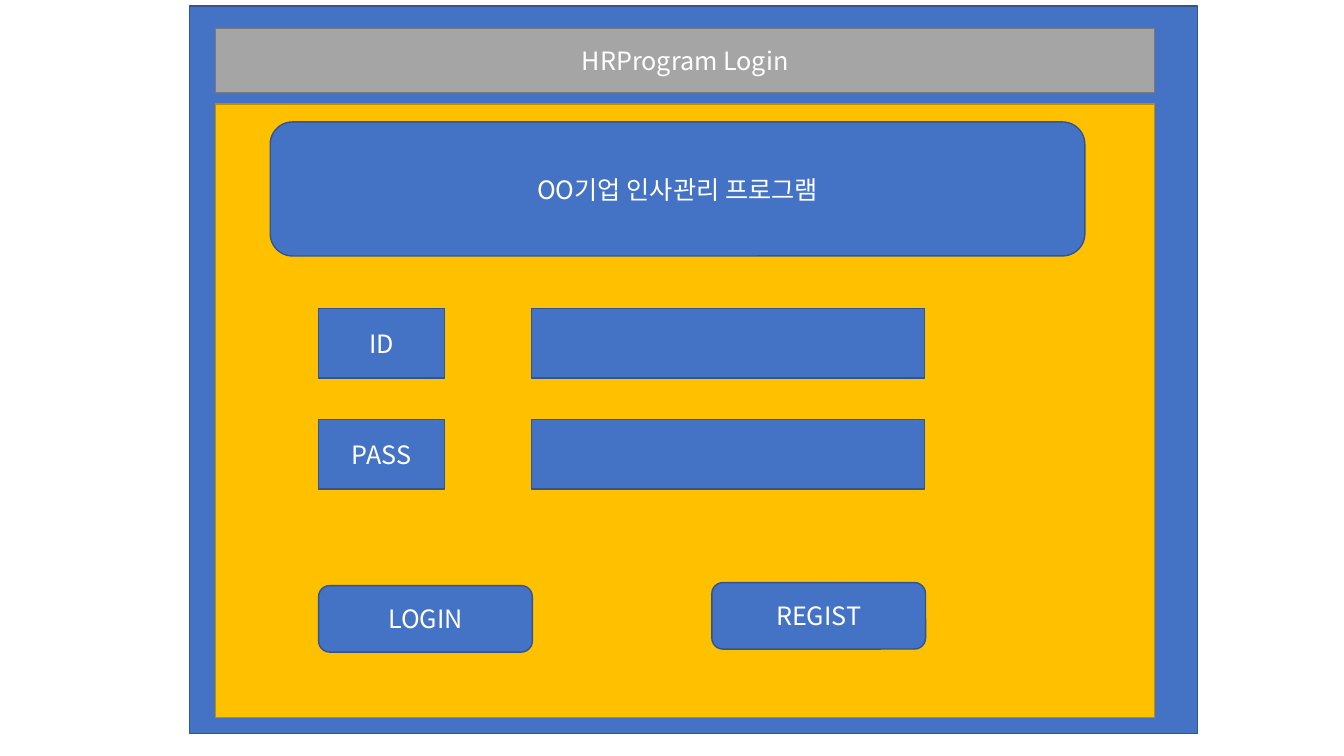
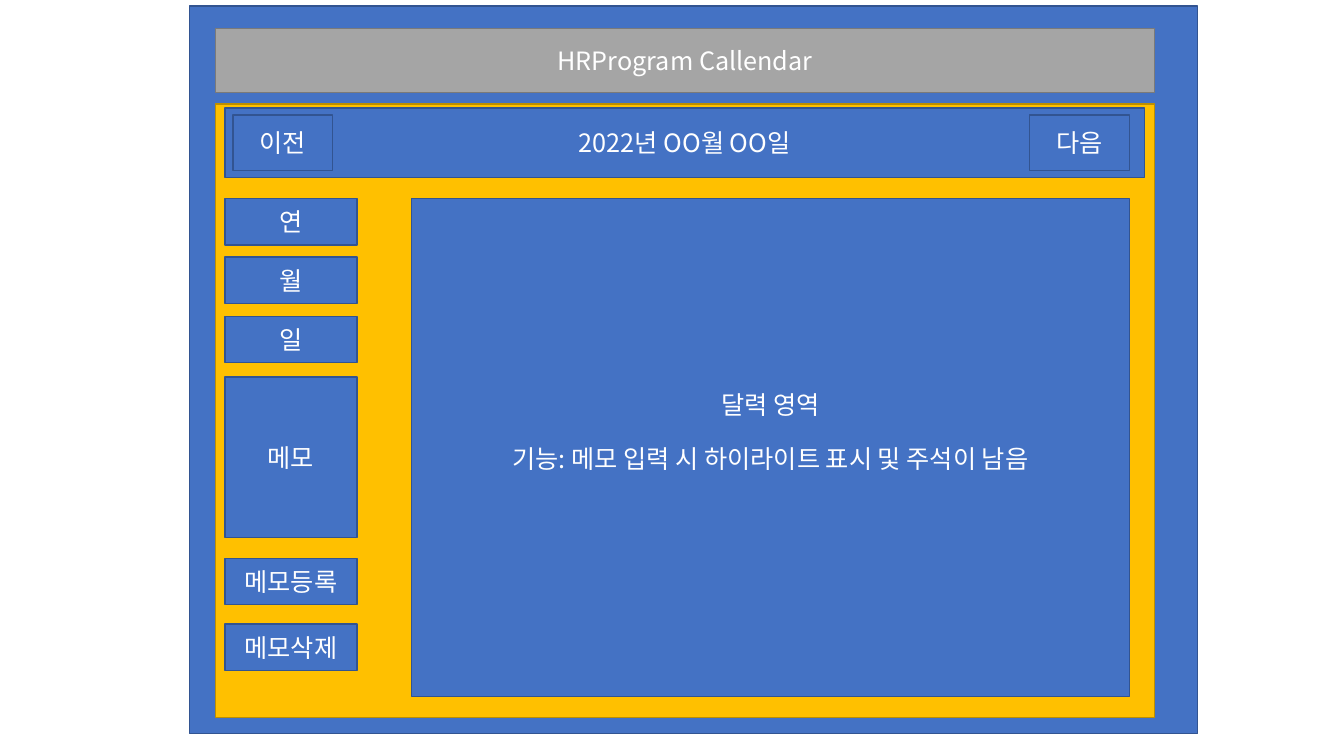
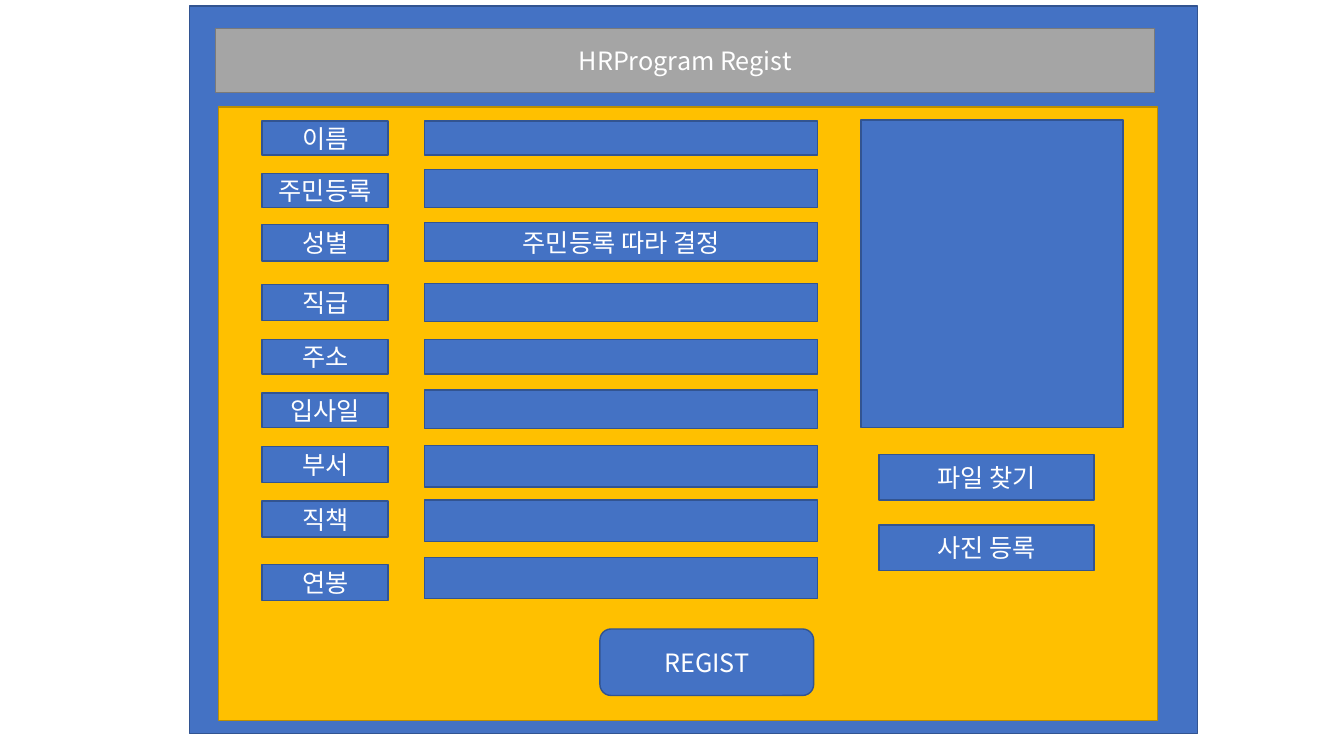
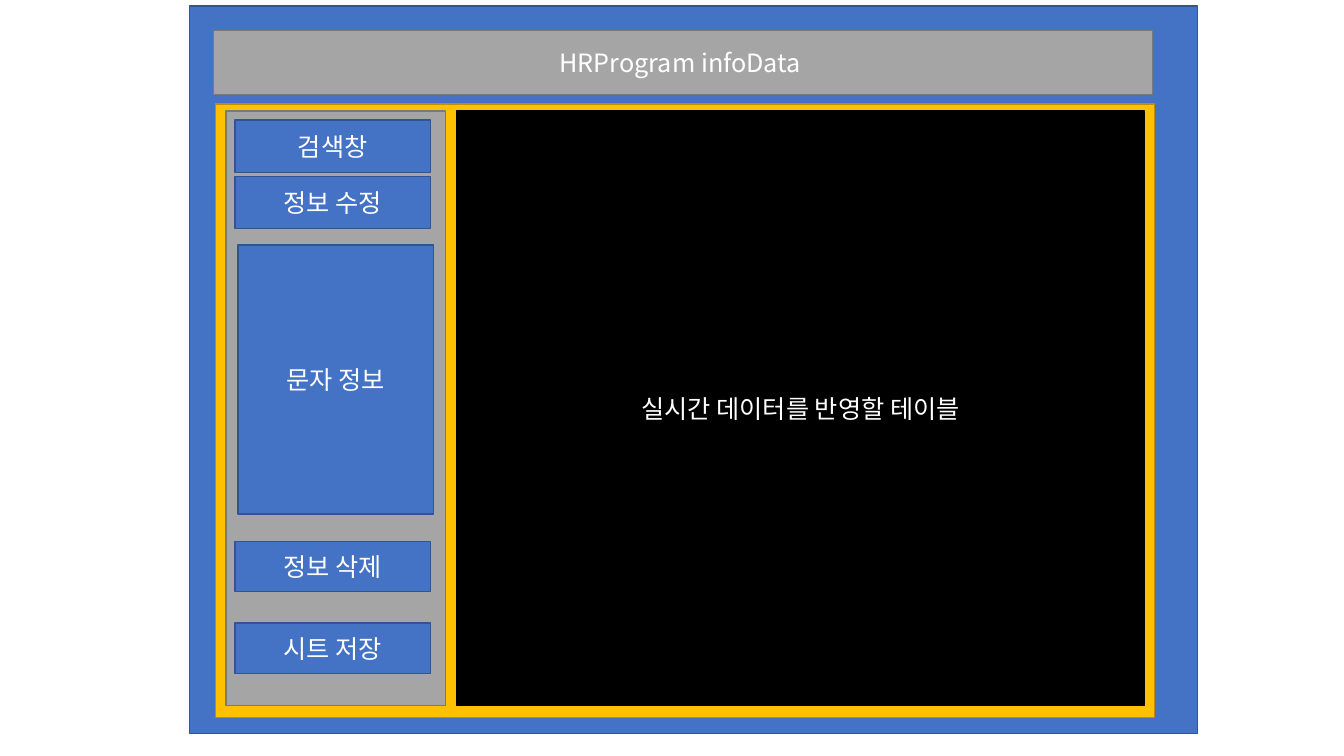
from lxml.etree import SubElement
from pptx import Presentation
from pptx.dml.color import RGBColor
from pptx.enum.shapes import MSO_SHAPE
from pptx.enum.text import MSO_ANCHOR, PP_ALIGN
from pptx.oxml.ns import qn
from pptx.util import Inches, Pt

FONT = "Noto Sans CJK KR"
FONT_SIZE = 18
TITLE_ONLY = 5

COLORS = {
    "blue": "4472C4", "blue_line": "325491",
    "gold": "FFC000", "gold_line": "BD8E00",
    "gray": "A5A5A5", "gray_line": "7A7A7A",
    "black": "000000", "black_line": "000000",
    "text": "FFFFFF",
}

# Boxes are left, top, width, height in inches.
WINDOW = (1.88, 0.06, 10, 7.22)
TITLE_BAR = (2.14, 0.28, 9.31, 0.64)
PANEL = (2.14, 1.03, 9.31, 6.09)

FIELD_WIDTH = 3.9
LABEL_WIDTH = 1.25
BUTTON_SIZE = (2.12, 0.66)


def color(name):
    return RGBColor.from_string(COLORS[name])


def shift(box, dx, dy):
    left, top, width, height = box
    return left + dx, top + dy, width, height


def paint(shape, fill):
    shape.fill.solid()
    shape.fill.fore_color.rgb = color(fill)
    shape.line.color.rgb = color(f"{fill}_line")
    shape.line.width = Pt(1)


def write(shape, text):
    """Centre white text in the shape, one paragraph a line."""
    frame = shape.text_frame
    frame.text = text
    frame.word_wrap = True
    frame.vertical_anchor = MSO_ANCHOR.MIDDLE
    for paragraph in frame.paragraphs:
        paragraph.alignment = PP_ALIGN.CENTER
        for run in paragraph.runs:
            run.font.size = Pt(FONT_SIZE)
            run.font.color.rgb = color("text")
            run.font.name = FONT
            properties = run.font.fill._xPr
            SubElement(properties, qn("a:ea")).set("typeface", FONT)


def add_box(slide, box, text="", fill="blue", kind=MSO_SHAPE.RECTANGLE):
    shape = slide.shapes.add_shape(kind, *map(Inches, box))
    shape.shadow.inherit = False
    paint(shape, fill)
    if text:
        write(shape, text)
    return shape


def add_rounded(slide, box, text):
    return add_box(slide, box, text, kind=MSO_SHAPE.ROUNDED_RECTANGLE)


def add_stack(slide, left, width, rows):
    """Add a column of boxes from rows of text, top and height."""
    for text, top, height in rows:
        add_box(slide, (left, top, width, height), text)


def add_screen(presentation, title, title_bar=TITLE_BAR, panel=PANEL):
    """Add a slide with the window, its panel and its title bar."""
    slide = presentation.slides.add_slide(presentation.slide_layouts[TITLE_ONLY])
    add_box(slide, WINDOW)
    add_box(slide, panel, fill="gold")
    bar = slide.shapes.title
    bar.left, bar.top, bar.width, bar.height = map(Inches, title_bar)
    paint(bar, "gray")
    write(bar, title)
    bar.element.getparent().append(bar.element)  # in front of the window
    return slide


def build_login(presentation):
    slide = add_screen(presentation, "HRProgram Login")
    label_left, field_left, row_height = 3.16, 5.27, 0.69
    for index, label in enumerate(("ID", "PASS")):
        top = 3.06 + 1.1 * index
        add_box(slide, (field_left, top, FIELD_WIDTH, row_height))
        add_box(slide, (label_left, top, LABEL_WIDTH, row_height), label)
    add_rounded(slide, (label_left, 5.81, *BUTTON_SIZE), "LOGIN")
    add_rounded(slide, (7.06, 5.78, *BUTTON_SIZE), "REGIST")
    add_rounded(slide, (2.68, 1.21, 8.08, 1.33), "OO기업 인사관리 프로그램")


def build_calendar(presentation):
    slide = add_screen(presentation, "HRProgram Callendar")
    side_left, side_width, button_height = 2.23, 1.31, 0.46
    calendar = add_box(
        slide, (4.08, 1.97, 7.12, 4.94),
        "달력 영역\n기능: 메모 입력 시 하이라이트 표시 및 주석이 남음")
    calendar.text_frame.paragraphs[1].space_before = Pt(17)
    calendar.text_frame.margin_bottom = Inches(0.36)

    add_box(slide, (side_left, 1.07, 9.12, 0.69), "2022년 OO월 OO일")
    for left, text in ((2.31, "이전"), (10.21, "다음")):
        add_box(slide, (left, 1.14, 0.99, 0.55), text)
    add_stack(slide, side_left, side_width, [
        ("연", 1.97, button_height),
        ("월", 2.55, button_height),
        ("일", 3.14, button_height),
        ("메모", 3.74, 1.59),
        ("메모등록", 5.54, button_height),
        ("메모삭제", 6.19, button_height),
    ])


def build_registration(presentation):
    slide = add_screen(presentation, "HRProgram Regist",
                       panel=shift(PANEL, 0.03, 0.03))
    add_stack(slide, 2.6, LABEL_WIDTH, [
        ("이름", 1.2, 0.34),
        ("주민등록", 1.72, 0.34),
        ("성별", 2.23, 0.36),
        ("직급", 2.82, 0.36),
        ("주소", 3.37, 0.34),
        ("입사일", 3.9, 0.34),
        ("부서", 4.43, 0.36),
        ("직책", 4.97, 0.36),
        ("연봉", 5.6, 0.36),
    ])
    add_stack(slide, 4.21, FIELD_WIDTH, [
        ("", 1.2, 0.34),
        ("", 1.68, 0.38),
        ("주민등록 따라 결정", 2.21, 0.38),
        ("", 2.81, 0.38),
        ("", 3.37, 0.34),
        ("", 3.87, 0.38),
        ("", 4.42, 0.41),
        ("", 4.96, 0.41),
        ("", 5.53, 0.41),
    ])
    add_box(slide, (8.54, 1.19, 2.6, 3.05))
    add_stack(slide, 8.72, 2.13, [
        ("파일 찾기", 4.51, 0.45),
        ("사진 등록", 5.21, 0.45),
    ])
    add_rounded(slide, (5.95, 6.24, *BUTTON_SIZE), "REGIST")


def build_info_data(presentation):
    slide = add_screen(presentation, "HRProgram infoData ",
                       title_bar=shift(TITLE_BAR, -0.02, 0.02))
    content_top, content_height = 1.1, 5.9
    menu_left, menu_width = 2.33, 1.94
    add_box(slide, (2.24, content_top, 2.18, content_height), fill="gray")
    add_box(slide, (4.53, content_top, 6.82, content_height),
            "실시간 데이터를 반영할 테이블", fill="black")
    add_stack(slide, menu_left, menu_width, [
        ("검색창", 1.19, 0.52),
        ("정보 수정", 1.75, 0.52),
        ("정보 삭제", 5.37, 0.5),
        ("시트 저장", 6.18, 0.5),
    ])
    add_box(slide, (menu_left + 0.03, 2.43, menu_width, 2.67), "문자 정보")


def main():
    presentation = Presentation()
    presentation.slide_width = Inches(13.33)
    presentation.slide_height = Inches(7.5)
    build_login(presentation)
    build_calendar(presentation)
    build_registration(presentation)
    build_info_data(presentation)
    presentation.save("out.pptx")


if __name__ == "__main__":
    main()
